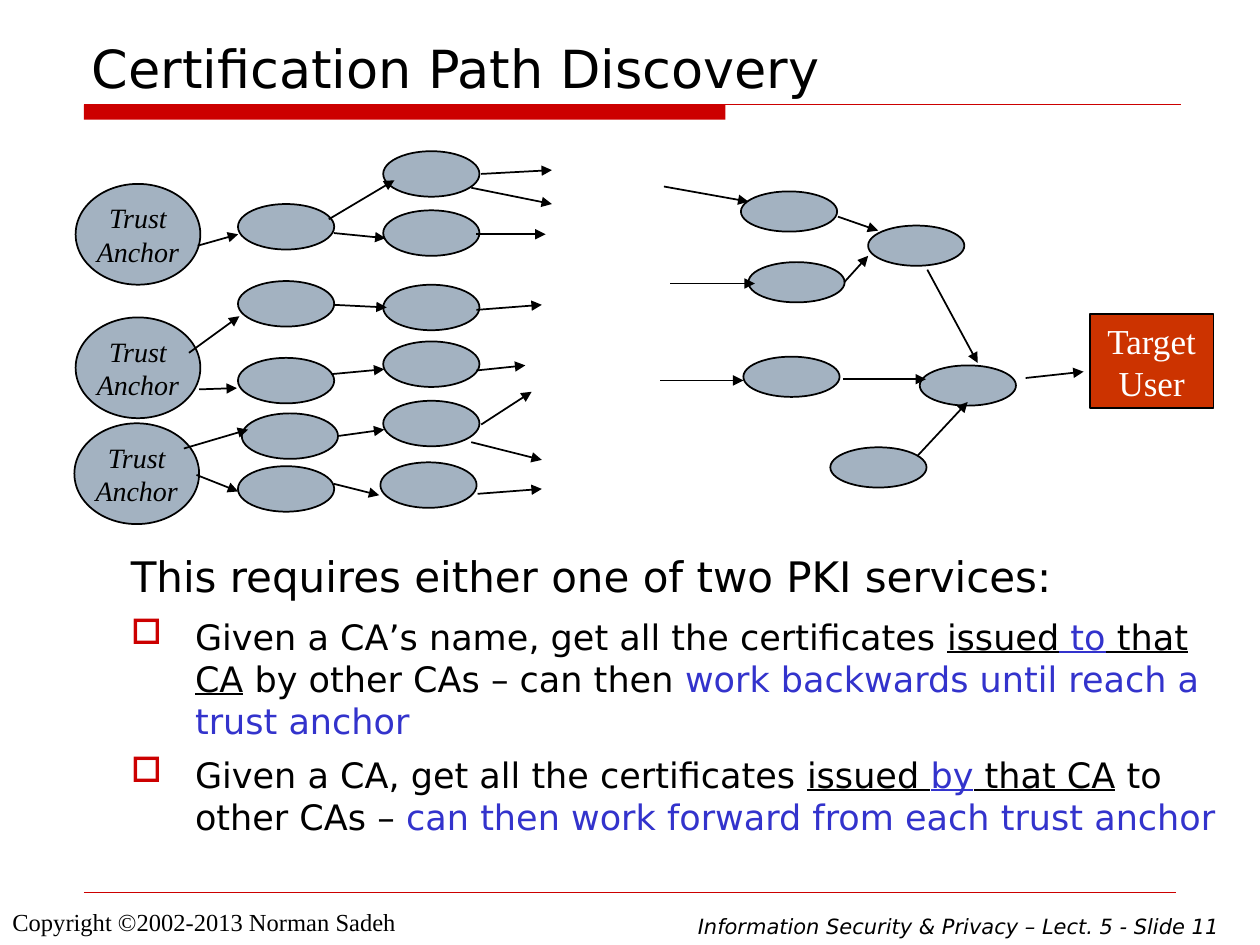
from lxml import etree
from pptx import Presentation
from pptx import util as u
from pptx.dml.color import RGBColor
from pptx.enum import shapes, text
from pptx.oxml import ns

Pt = u.Pt
COLORS = {"black": "000000", "white": "FFFFFF", "red": "CC0000",
          "node": "A3B2C1", "target": "CC3300", "accent": "3333CC"}
SANS, SERIF = "DejaVu Sans", "Times New Roman"


def rgb(name):
    return RGBColor.from_string(COLORS[name])


def add_xml(parent, tag, **attrs):
    return etree.SubElement(parent, ns.qn(tag), attrs)


class SlideBuilder:
    def __init__(self, s):
        self.s = s

    def run(self, p, words, size, font=SANS, color="black", italic=False, underline=False):
        r = p.add_run()
        r.text = words
        r.font.size, r.font.name = Pt(size), font
        r.font.color.rgb = rgb(color)
        r.font.italic, r.font.underline = italic, underline

    def shape(self, kind, x, y, w, h, fill, outline="black"):
        sp = self.s.shapes.add_shape(kind, Pt(x), Pt(y), Pt(w), Pt(h))
        sp.shadow.inherit = False
        sp.fill.solid()
        sp.fill.fore_color.rgb = rgb(fill)
        if outline:
            sp.line.color.rgb = rgb(outline)
            sp.line.width = Pt(1)
        else:
            sp.line.fill.background()
        return sp

    def ellipse(self, x, y, w, h):
        return self.shape(shapes.MSO_SHAPE.OVAL, x, y, w, h, "node")

    def label(self, sp, lines, **style):
        """Centre one paragraph per line inside a shape."""
        tf = sp.text_frame
        tf.word_wrap = False
        tf.vertical_anchor = text.MSO_ANCHOR.MIDDLE
        for i, line in enumerate(lines):
            p = tf.add_paragraph() if i else tf.paragraphs[0]
            p.alignment = text.PP_ALIGN.CENTER
            self.run(p, line, font=SERIF, **style)

    def line(self, x1, y1, x2, y2, color="black", width=1, arrow=False):
        c = self.s.shapes.add_connector(
            shapes.MSO_CONNECTOR.STRAIGHT, Pt(x1), Pt(y1), Pt(x2), Pt(y2))
        c.line.color.rgb = rgb(color)
        c.line.width = Pt(width)
        if arrow:
            add_xml(c.line._get_or_add_ln(), "a:tailEnd", type="triangle")
        add_xml(c._element.spPr, "a:effectLst")

    def text_box(self, x, y, w, h, wrap=True, anchor=text.MSO_ANCHOR.TOP):
        tf = self.s.shapes.add_textbox(Pt(x), Pt(y), Pt(w), Pt(h)).text_frame
        tf.word_wrap = wrap
        tf.vertical_anchor = anchor
        return tf

    def hanging(self, p, size, indent=36.7, bullet=None):
        p.space_before, p.space_after = Pt(size * 0.2), Pt(size * 0.15)
        pPr = p._p.get_or_add_pPr()
        pPr.set("marL", str(Pt(indent)))
        pPr.set("indent", str(Pt(-indent)))
        if bullet:
            clr = add_xml(pPr, "a:buClr")
            add_xml(clr, "a:srgbClr", val=COLORS["red"])
            add_xml(pPr, "a:buChar", char=bullet)
        else:
            add_xml(pPr, "a:buNone")


ANCHORS = [(43.2, 105.1), (43.2, 181.4), (42.5, 241.9)]
LEFT_NODES = [(136, 116.6), (136, 160.6), (136, 204.5), (138.2, 236.2), (136, 266.4),
              (219, 86.4), (219, 120.2), (219, 162.7), (219, 195.1), (219, 229),
              (217.4, 264.2)]
RIGHT_NODES = [(423.4, 109.4), (427.7, 149.8), (496.1, 128.9),
               (525.6, 208.8), (474.5, 255.6), (424.8, 203.8)]
ARROWS = [
    # trust anchors to first column
    (113, 140.4, 136.1, 133.9), (108, 201.6, 136.8, 180.7), (113.8, 222.5, 135.4, 221.8),
    (105.1, 256.3, 141.8, 245.5), (112.3, 271.4, 136.1, 280.8),
    # first to second column
    (187.9, 125.3, 225.4, 103), (190.8, 133.2, 220.3, 136.1), (190.8, 174.2, 221, 175.7),
    (189.4, 213.8, 219.6, 211), (193.7, 249.1, 219.6, 245.5), (190.8, 276.5, 216.7, 283),
    # out of second column
    (275, 99.4, 315.4, 97.2), (269.3, 107.3, 315.4, 116.6), (272.2, 133.9, 311.8, 133.9),
    (272.2, 177.1, 309.6, 174.2), (272.2, 211.7, 300.2, 208.8), (275, 242.6, 303.8, 223.9),
    (269.3, 252.7, 309.6, 262.8), (272.9, 282.2, 309.6, 279.4),
    # towards the target user
    (379.4, 106.6, 427.7, 115.2), (383, 162, 431.3, 162), (377.3, 217.4, 424.8, 217.4),
    (481.7, 216.7, 529.2, 216.7), (478.8, 123.8, 501.8, 131.8), (482.4, 161.3, 496.1, 146.2),
    (529.9, 154.1, 558.7, 207.4), (524.2, 260.6, 553, 229.7), (586.1, 216, 619.2, 212.4),
]
UNDER, BLUE = {"underline": True}, {"color": "accent"}
SERVICES = [
    [("Given a CA’s name, get all the certificates ", {}), ("issued", UNDER),
     (" to", {**UNDER, **BLUE}), (" that CA", UNDER), (" by other CAs – can then ", {}),
     ("work backwards until reach a trust anchor", BLUE)],
    [("Given a CA, get all the certificates ", {}), ("issued ", UNDER),
     ("by", {**UNDER, **BLUE}), (" that CA", UNDER), (" to other CAs – ", {}),
     ("can then work forward from each trust anchor", BLUE)],
]


def main():
    prs = Presentation()
    prs.slide_width, prs.slide_height = Pt(720), Pt(540)
    b = SlideBuilder(prs.slides.add_slide(prs.slide_layouts[6]))

    b.shape(shapes.MSO_SHAPE.RECTANGLE, 48, 59.8, 366.5, 8.6, "red", outline=None)
    b.line(48, 59.8, 674.6, 59.8, "red", 0.75)
    b.line(48, 509.8, 672, 509.8, "red", 0.25)
    tf = b.text_box(0, 514.8, 235.4, 24.5, wrap=False)
    b.run(tf.paragraphs[0], "Copyright ©2002-2013 Norman Sadeh", 14, SERIF)
    tf = b.text_box(391.7, 518.4, 328.3, 21.6, wrap=False)
    b.run(tf.paragraphs[0], "Information Security & Privacy – Lect. 5 - Slide 11",
          12, italic=True)

    tf = b.text_box(45.4, 12.2, 630, 48.2, anchor=text.MSO_ANCHOR.BOTTOM)
    b.run(tf.paragraphs[0], "Certification Path Discovery", 30)

    tf = b.text_box(67.7, 314.6, 652.3, 184.3)
    p = tf.paragraphs[0]
    p.line_spacing = 0.9
    b.hanging(p, 24)
    b.run(p, "This requires either one of two PKI services:", 24)
    for service in SERVICES:
        p = tf.add_paragraph()
        b.hanging(p, 20, bullet="□")
        for words, style in service:
            b.run(p, words, 20, **style)

    for x, y in LEFT_NODES:
        b.ellipse(x, y, 55, 26)
    for x, y in RIGHT_NODES:
        b.ellipse(x, y, 55, 23)
    for x, y in ANCHORS:
        b.label(b.ellipse(x, y, 71.3, 57.6), ["Trust", "Anchor"], size=16, italic=True)
    target = b.shape(shapes.MSO_SHAPE.RECTANGLE, 622.8, 179.3, 70.6, 54, "target")
    b.label(target, ["Target", "User"], size=20, color="white")
    for ends in ARROWS:
        b.line(*ends, arrow=True)

    prs.save("out.pptx")


if __name__ == "__main__":
    main()
